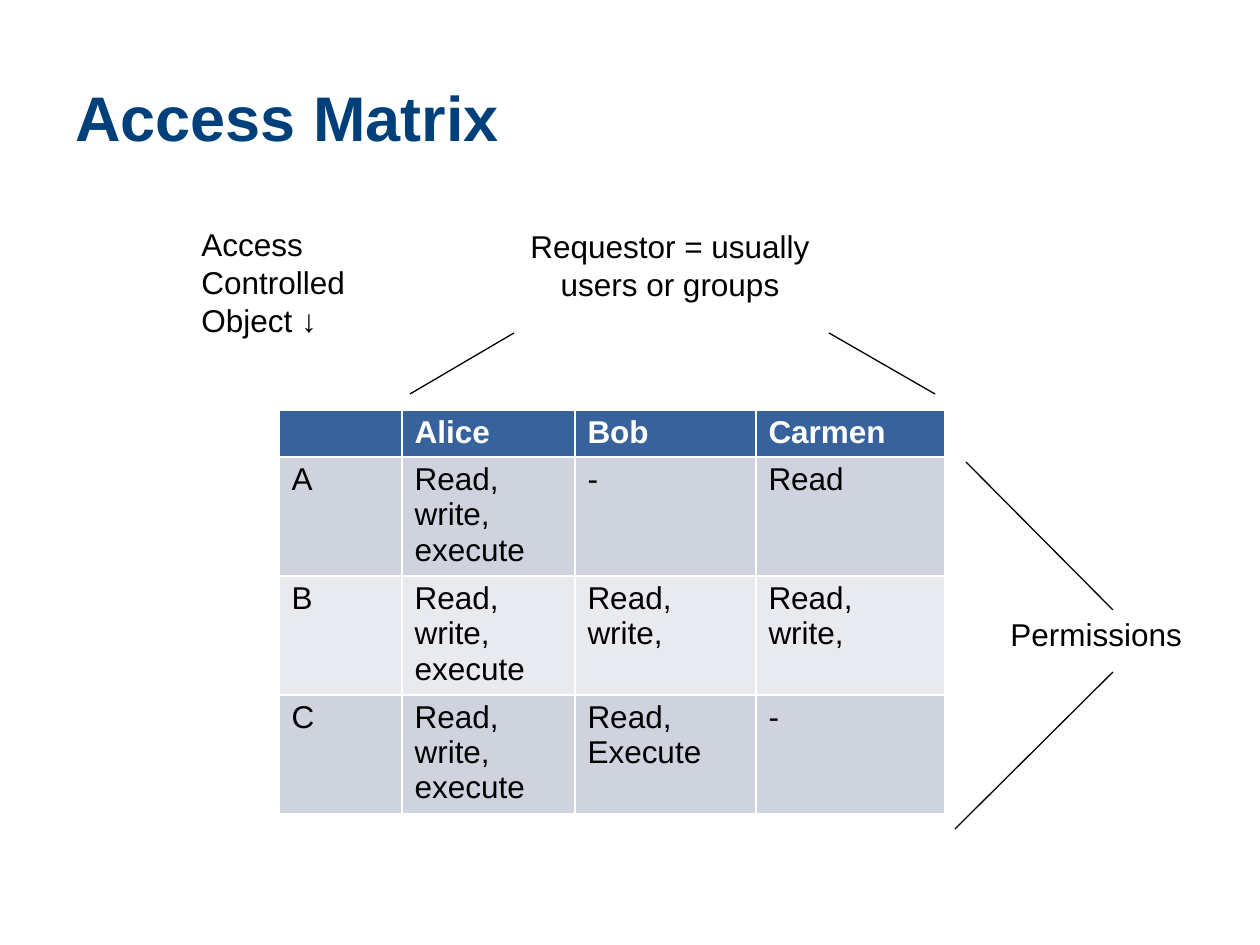
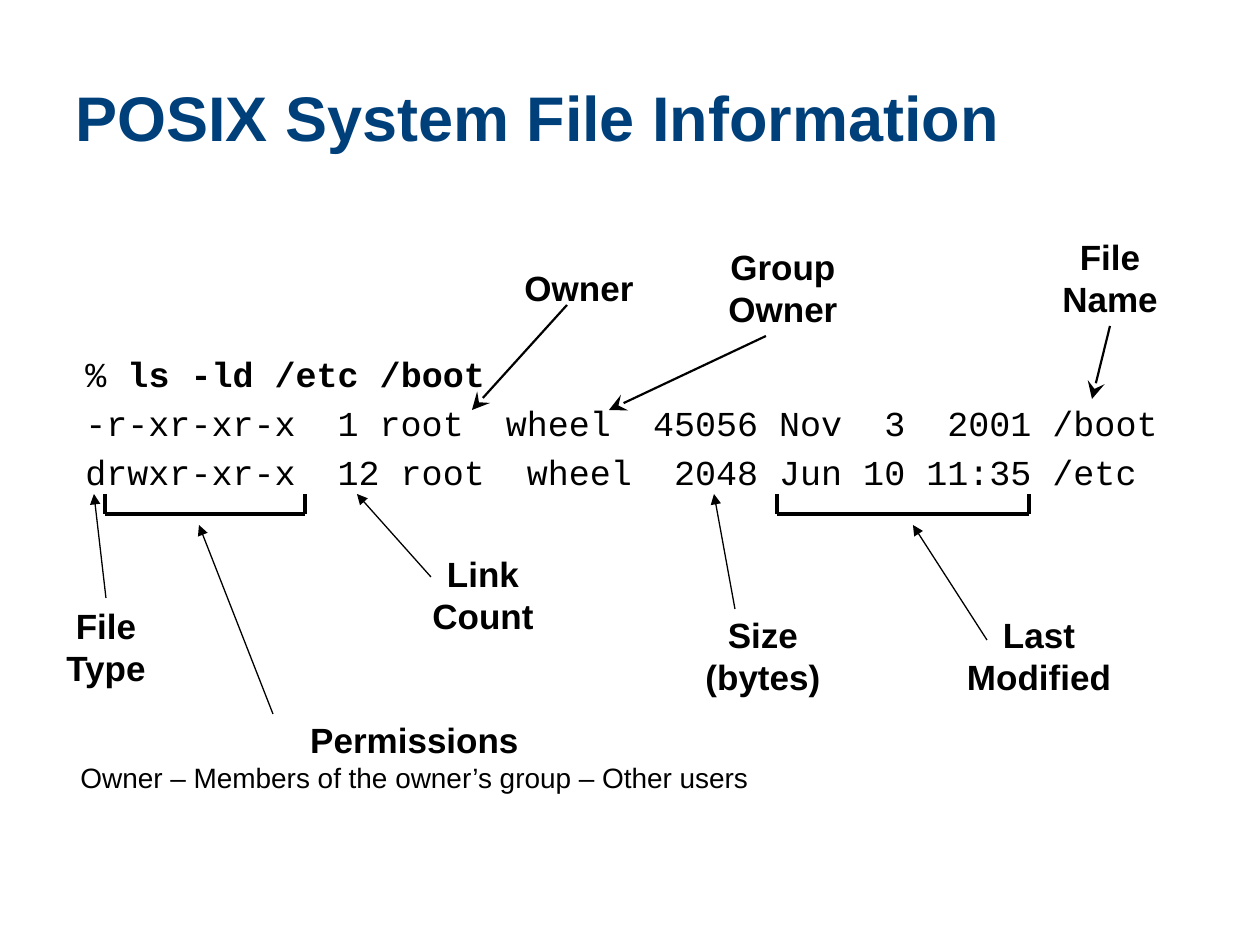
from lxml import etree
from pptx import Presentation
from pptx.dml.color import RGBColor
from pptx.enum.shapes import MSO_CONNECTOR
from pptx.enum.text import MSO_ANCHOR, PP_ALIGN
from pptx.oxml.ns import qn
from pptx.util import Emu, Pt

BLACK = RGBColor(0x00, 0x00, 0x00)
WHITE = RGBColor(0xFF, 0xFF, 0xFF)
TITLE_BLUE = RGBColor(0x00, 0x40, 0x7A)
HEADER_BLUE = RGBColor(0x38, 0x62, 0x9C)
BAND_DARK = RGBColor(0xCE, 0xD3, 0xDE)
BAND_LIGHT = RGBColor(0xE8, 0xEA, 0xEF)

PX = 914400 / 126
LEFT, CENTER = PP_ALIGN.LEFT, PP_ALIGN.CENTER
TITLE_BOX = (63, 38, 1134, 157)


def add_text(slide, box, paragraphs, align=LEFT, color=BLACK, font="Arial", wrap=True):
    """Add a text box; each paragraph is a list of (text, size, bold) runs."""
    shape = slide.shapes.add_textbox(*[Emu(round(length * PX)) for length in box])
    frame = shape.text_frame
    frame.word_wrap = wrap
    for index, runs in enumerate(paragraphs):
        paragraph = frame.add_paragraph() if index else frame.paragraphs[0]
        paragraph.alignment = align
        for text, size, bold in runs:
            run = paragraph.add_run()
            run.text = text
            run.font.name = font
            run.font.size = Pt(size)
            run.font.bold = bold
            run.font.color.rgb = color
    return shape


def add_line(slide, start, end, width=0.75, arrowhead=None, head_size="med"):
    points = [Emu(round(length * PX)) for length in (*start, *end)]
    line = slide.shapes.add_connector(MSO_CONNECTOR.STRAIGHT, *points)
    line.line.color.rgb = BLACK
    line.line.width = Pt(width)
    if arrowhead:
        outline = line.line._get_or_add_ln()
        etree.SubElement(outline, qn("a:tailEnd"), type=arrowhead, w=head_size, len=head_size)
    etree.SubElement(line._element.spPr, qn("a:effectLst"))
    return line


presentation = Presentation()
presentation.slide_width = Emu(round(1260 * PX))
presentation.slide_height = Emu(round(945 * PX))

slides = []
for title in ("Access Matrix", "POSIX System File Information"):
    slide = presentation.slides.add_slide(presentation.slide_layouts[6])
    shape = add_text(slide, TITLE_BOX, [[(title, 36, True)]], color=TITLE_BLUE)
    shape.text_frame.vertical_anchor = MSO_ANCHOR.MIDDLE
    slides.append(slide)
matrix_slide, file_slide = slides

# Access matrix
ACCESS_ROWS = [
    ("", "Alice", "Bob", "Carmen"),
    ("A", "Read, write, execute", "-", "Read"),
    ("B", "Read, write, execute", "Read, write,", "Read, write,"),
    ("C", "Read, write, execute", "Read,\nExecute", "-"),
]
COLUMN_WIDTHS = (123, 173, 181, 189)
ROW_HEIGHTS = (47, 119, 119, 119)
CELL_TOP_MARGIN = 5
table_box = (279, 410, sum(COLUMN_WIDTHS), sum(ROW_HEIGHTS))
table = matrix_slide.shapes.add_table(
    len(ACCESS_ROWS), len(COLUMN_WIDTHS), *[Emu(round(length * PX)) for length in table_box]
).table
for column, width in zip(table.columns, COLUMN_WIDTHS):
    column.width = Emu(round(width * PX))
for row_index, (row, height, texts) in enumerate(zip(table.rows, ROW_HEIGHTS, ACCESS_ROWS)):
    row.height = Emu(round(height * PX))
    is_header = row_index == 0
    band = HEADER_BLUE if is_header else (BAND_LIGHT, BAND_DARK)[row_index % 2]
    for cell, text in zip(row.cells, texts):
        cell.fill.solid()
        cell.fill.fore_color.rgb = band
        cell.margin_top = Emu(round(CELL_TOP_MARGIN * PX))
        cell.margin_bottom = 0
        cell.text = text
        for paragraph in cell.text_frame.paragraphs:
            for run in paragraph.runs:
                run.font.name = "Arial"
                run.font.size = Pt(18)
                run.font.bold = is_header
                run.font.color.rgb = WHITE if is_header else BLACK

matrix_labels = [
    ((189, 219, 242, 165), LEFT, ("Access Controlled", "Object ↓")),
    ((476, 221, 388, 165), CENTER, ("Requestor = usually", "users or groups")),
    ((998, 609, 262, 63), LEFT, ("Permissions",)),
]
for box, align, lines in matrix_labels:
    add_text(matrix_slide, box, [[(line, 18, False)] for line in lines], align)

for start, end in [
    ((514, 333), (410, 394)),
    ((829, 333), (935, 394)),
    ((966, 462), (1113, 610)),
    ((1113, 672), (955, 829)),
]:
    add_line(matrix_slide, start, end)

# File information
listing = add_text(
    file_slide,
    (73, 346, 1102, 199),
    [
        [("% ", 20, False), ("ls -ld /etc /boot", 20, True)],
        [("-r-xr-xr-x  1 root  wheel  45056 Nov  3  2001 /boot", 20, False)],
        [("drwxr-xr-x  12 root  wheel  2048 Jun 10 11:35 /etc", 20, False)],
    ],
    font="Courier New",
)
for paragraph in listing.text_frame.paragraphs:
    paragraph.space_before = Pt(4)

add_text(
    file_slide,
    (63, 712, 703, 90),
    [
        [("Permissions", 20, True)],
        [("Owner – Members of the owner’s group – Other users", 16, False)],
    ],
    CENTER,
)

field_boxes = {
    "File Type": (51, 598, 110, 97),
    "Link Count": (413, 546, 140, 97),
    "Size (bytes)": (688, 607, 150, 97),
    "Last Modified": (949, 607, 180, 97),
    "File Name": (1045, 229, 130, 97),
    "Group Owner": (708, 239, 150, 97),
    "Owner": (504, 260, 150, 54),
}
field_labels = {}
for field, box in field_boxes.items():
    lines = [[(word, 20, True)] for word in field.split()]
    field_labels[field] = add_text(file_slide, box, lines, CENTER, wrap=False)

field_arrows = [
    ("Owner", (567, 305), (472, 410), "stealth"),
    ("Group Owner", (766, 336), (609, 410), "stealth"),
    ("File Name", (1113, 325), (1092, 399), "stealth"),
    ("File Type", (105, 598), (94, 494), "triangle"),
    ("Permissions", (273, 714), (199, 525), "triangle"),
    ("Link Count", (431, 577), (357, 494), "triangle"),
    ("Size (bytes)", (735, 609), (714, 494), "triangle"),
    ("Last Modified", (987, 640), (913, 525), "triangle"),
]
arrow_styles = {"stealth": (1.25, "lg"), "triangle": (0.75, "med")}
joined_sides = {"File Name": 2, "File Type": 0}
for field, start, end, arrowhead in field_arrows:
    width, head_size = arrow_styles[arrowhead]
    arrow = add_line(file_slide, start, end, width, arrowhead, head_size)
    if field in joined_sides:
        arrow.begin_connect(field_labels[field], joined_sides[field])

BRACKET_TOP, BRACKET_BOTTOM = 494, 514
for left, right in [(105, 305), (777, 1029)]:
    corners = [
        (left, BRACKET_TOP),
        (left, BRACKET_BOTTOM),
        (right, BRACKET_BOTTOM),
        (right, BRACKET_TOP),
    ]
    for start, end in zip(corners, corners[1:]):
        add_line(file_slide, start, end, 2)

presentation.save("out.pptx")
